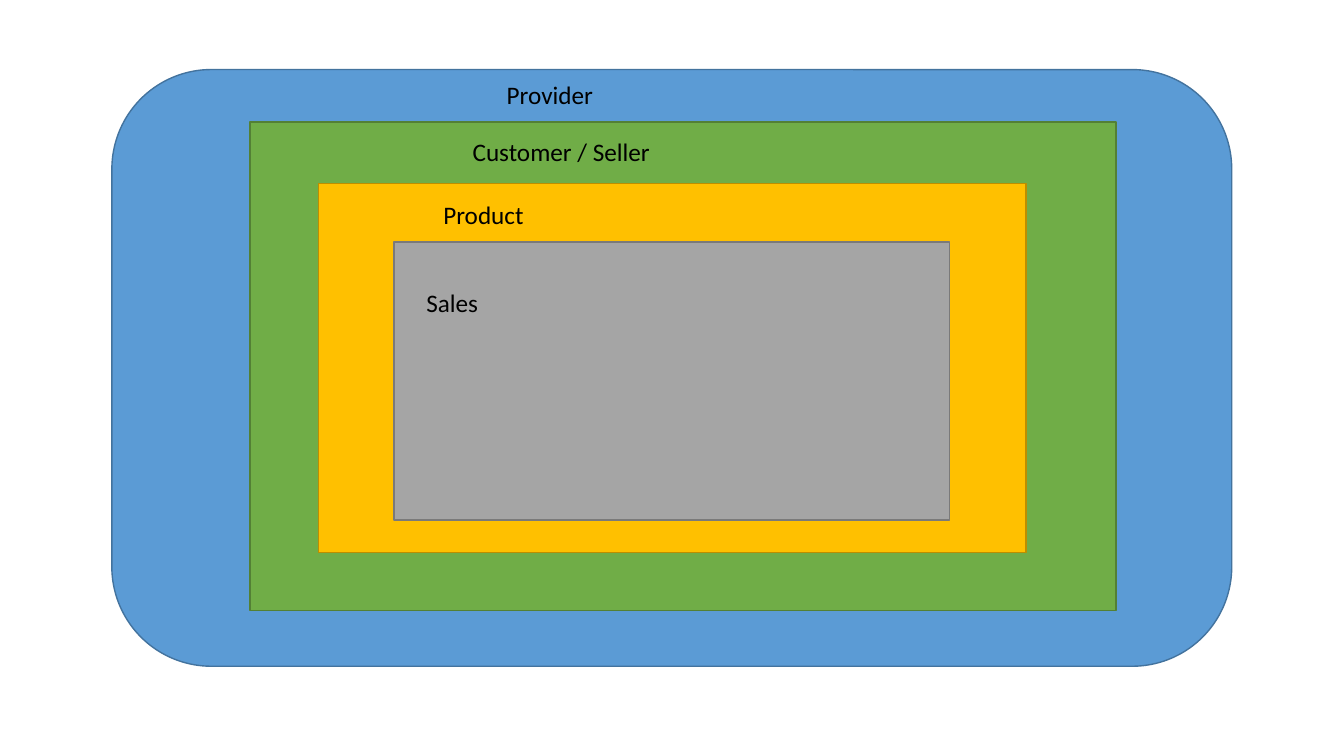
from pptx import Presentation
from pptx.dml.color import RGBColor
from pptx.enum import shapes, text
from pptx.util import Pt

ROUNDED = shapes.MSO_SHAPE.ROUNDED_RECTANGLE
SQUARE = shapes.MSO_SHAPE.RECTANGLE

LAYERS = [
    ("Provider", ROUNDED, (79.9, 49.7, 799.9, 426.2), "5B9BD5", "43739E", (275, 3.6, 77), False),
    ("Customer / Seller", SQUARE, (178.6, 87.1, 618.5, 349.2), "70AD47", "538035", (151.9, 6.5, 142.6), False),
    ("Product", SQUARE, (227.5, 131, 505.4, 263.5), "FFC000", "BD8E00", (82.1, 7.9, 167), True),
    ("Sales", SQUARE, (281.5, 172.8, 396.7, 198.7), "A5A5A5", "7A7A7A", (15.9, 28.8, 167), True),
]


def color(hex_string):
    """Return the colour for a hex string."""
    return RGBColor.from_string(hex_string)


def add_label(slide, box, wording, wraps):
    """Write a layer name in the given box."""
    label = slide.shapes.add_textbox(*map(Pt, box))
    frame = label.text_frame
    frame.word_wrap = wraps
    frame.auto_size = text.MSO_AUTO_SIZE.SHAPE_TO_FIT_TEXT
    frame.text = wording
    font = frame.paragraphs[0].runs[0].font
    font.name = "Calibri"
    font.size = Pt(18)
    font.color.rgb = color("000000")


def add_layer(slide, box, wording, outline, fill, line, label_place, wraps):
    """Draw one nested layer with its label offset from the layer's corner."""
    shape = slide.shapes.add_shape(outline, *map(Pt, box))
    shape.shadow.inherit = False
    shape.fill.solid()
    shape.fill.fore_color.rgb = color(fill)
    shape.line.color.rgb = color(line)
    shape.line.width = Pt(1)
    left, top = box[:2]
    offset_x, offset_y, width = label_place
    add_label(slide, (left + offset_x, top + offset_y, width, 29), wording, wraps)


def main():
    """Build the slide of nested layers and save it."""
    presentation = Presentation()
    presentation.slide_width = Pt(960)
    presentation.slide_height = Pt(540)
    slide = presentation.slides.add_slide(presentation.slide_layouts[6])
    for wording, outline, box, fill, line, label_place, wraps in LAYERS:
        add_layer(slide, box, wording, outline, fill, line, label_place, wraps)
    presentation.save("out.pptx")


if __name__ == "__main__":
    main()
